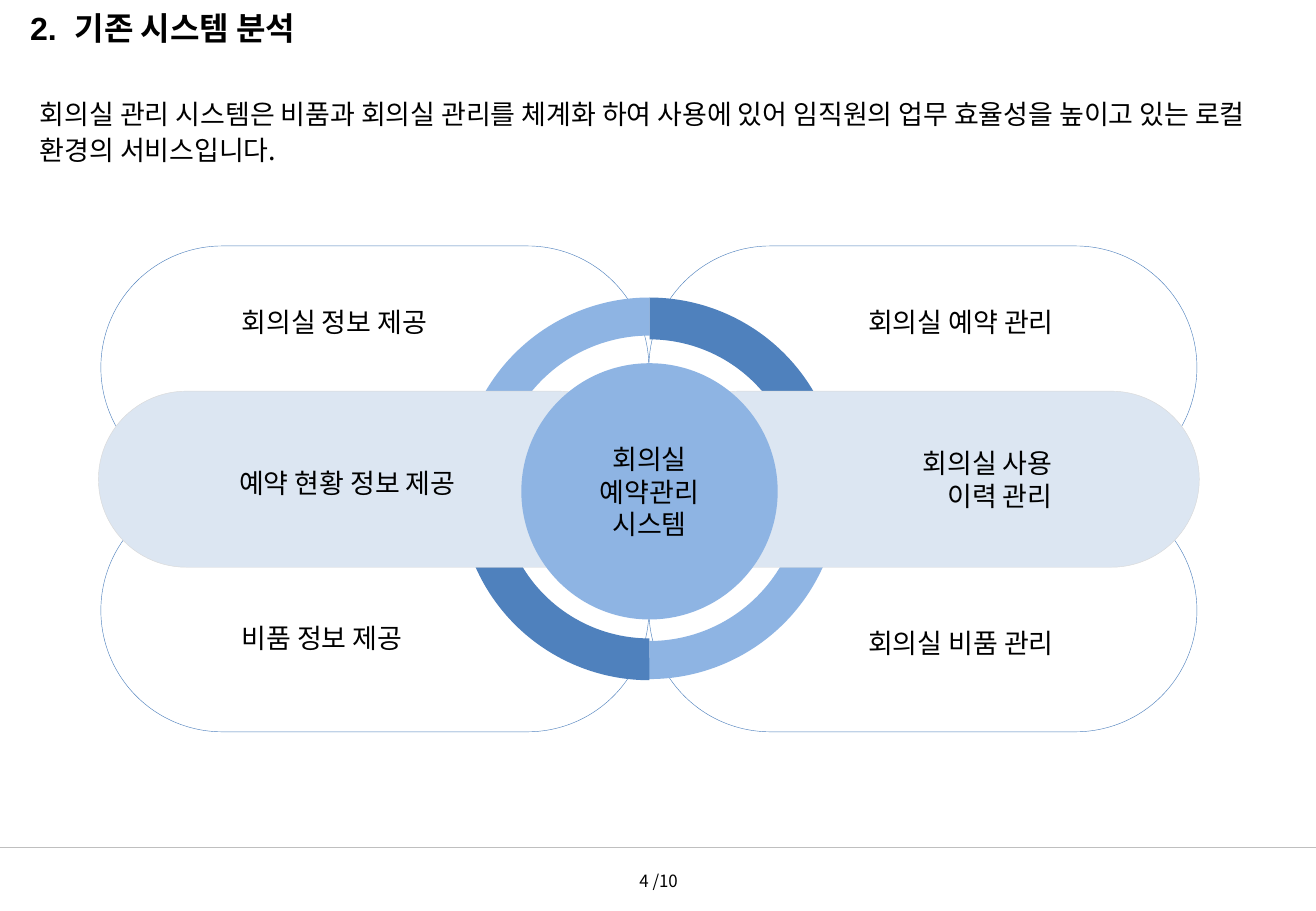
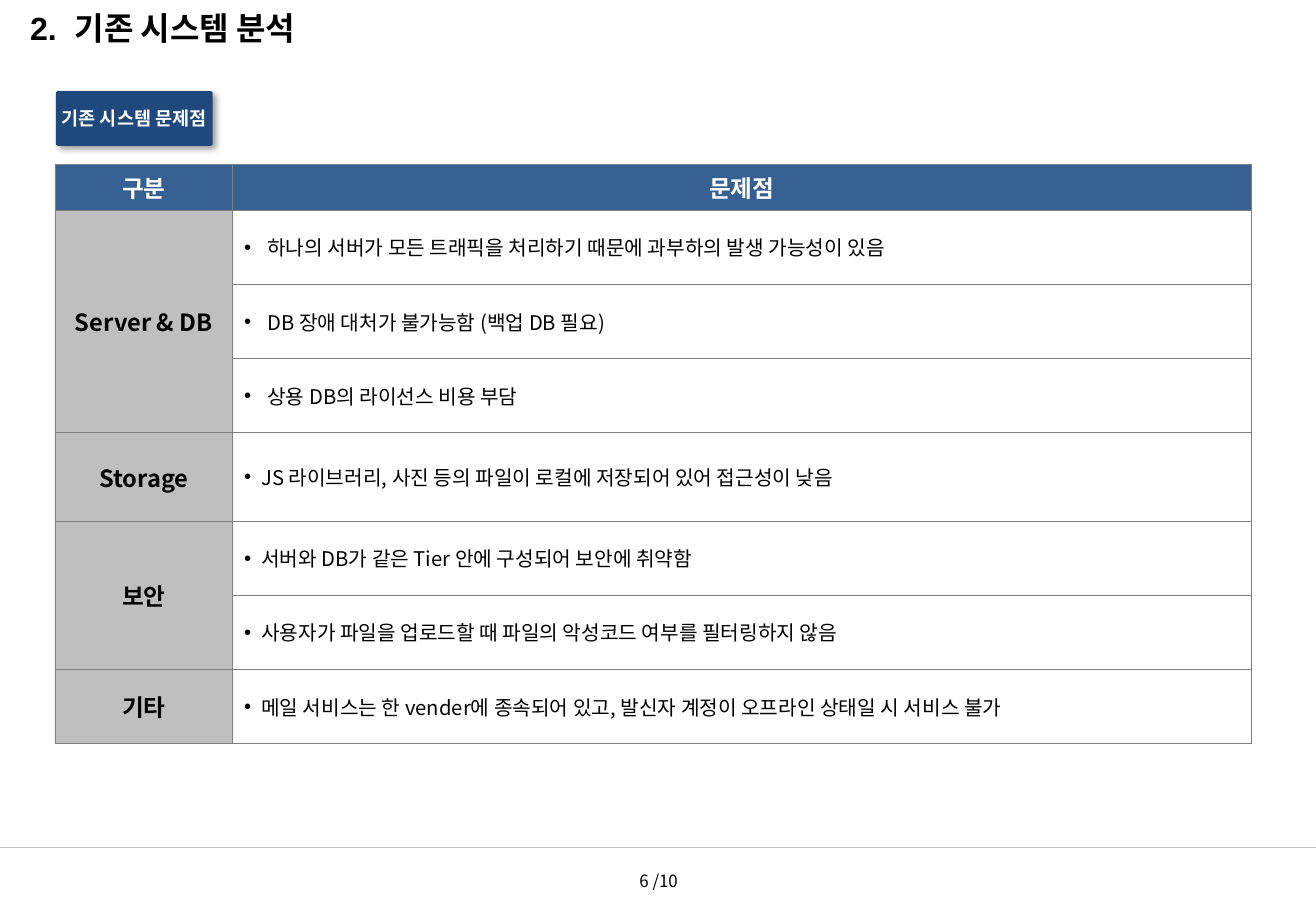
from itertools import product

from lxml import etree
from pptx import Presentation
from pptx import util as u
from pptx.dml.color import RGBColor
from pptx.enum import shapes, text
from pptx.oxml import ns

CELL = 0.1
COLUMNS, ROWS = 108.3, 75
FONT = "Noto Sans CJK KR"
BLACK, WHITE = "000000", "FFFFFF"
BLUE, LIGHT_BLUE, PALE_BLUE = "4F81BD", "8EB4E3", "DCE6F2"
NAVY, HEADER_BLUE = "1F497D", "376092"
SILVER, PALE_GREY, GREY = "BFBFBF", "D9D9D9", "808080"
LEFT, CENTER, RIGHT = text.PP_ALIGN.LEFT, text.PP_ALIGN.CENTER, text.PP_ALIGN.RIGHT
TOP, MIDDLE, BOTTOM = text.MSO_ANCHOR.TOP, text.MSO_ANCHOR.MIDDLE, text.MSO_ANCHOR.BOTTOM
SHAPE = shapes.MSO_SHAPE

PROBLEMS = [
    ("Server & DB", 0.19, [
        (6.1, "하나의 서버가 모든 트래픽을 처리하기 때문에 과부하의 발생 가능성이 있음"),
        (6.1, "DB 장애 대처가 불가능함 (백업 DB 필요)"),
        (6.1, "상용 DB의 라이선스 비용 부담")]),
    ("Storage", 0.14, [
        (7.3, "JS 라이브러리, 사진 등의 파일이 로컬에 저장되어 있어 접근성이 낮음")]),
    ("보안", 0.14, [
        (6.1, "서버와 DB가 같은 Tier 안에 구성되어 보안에 취약함"),
        (6.1, "사용자가 파일을 업로드할 때 파일의 악성코드 여부를 필터링하지 않음")]),
    ("기타", 0.14, [
        (6.1, "메일 서비스는 한 vender에 종속되어 있고, 발신자 계정이 오프라인 상태일 시 서비스 불가")]),
]


def grid(*cells):
    return [u.Inches(count * CELL) for count in cells]


def color(value):
    return RGBColor.from_string(value)


def element(parent, tag, **attributes):
    child = etree.SubElement(parent, ns.qn(tag))
    for name, value in attributes.items():
        child.set(name, str(value))
    return child


def write(frame, content, size=16, font=FONT, ink=BLACK, bold=False, align=LEFT,
          anchor=TOP, wrap=True, before=0, spacing=None, bullet=None):
    frame.word_wrap = wrap
    frame.vertical_anchor = anchor
    for index, line in enumerate(content.split("\n")):
        para = frame.add_paragraph() if index else frame.paragraphs[0]
        para.alignment = align
        para.space_before = u.Pt(before)
        if spacing:
            para.line_spacing = spacing
        span = para.add_run()
        span.text = line
        span.font.size = u.Pt(size)
        span.font.name = font
        span.font.bold = bold
        span.font.color.rgb = color(ink)
        element(span.font._element, "a:ea", typeface=FONT)
        if bullet:
            properties = para._p.get_or_add_pPr()
            indent = u.Inches(bullet)
            properties.set("marL", str(indent))
            properties.set("indent", str(-indent))
            element(properties, "a:buFont", typeface="Arial")
            element(properties, "a:buChar", char="•")


def add_text(page, place, content, **style):
    box = page.shapes.add_textbox(*grid(*place))
    write(box.text_frame, content, **style)


def add_shape(page, kind, place, fill=None, line=None, adjust=(), turn=0):
    shape = page.shapes.add_shape(kind, *grid(*place))
    shape.shadow.inherit = False
    shape.rotation = turn
    for index, value in enumerate(adjust):
        shape.adjustments[index] = value
    if fill:
        shape.fill.solid()
        shape.fill.fore_color.rgb = color(fill)
    else:
        shape.fill.background()
    if line:
        shape.line.color.rgb = color(line)
        shape.line.width = u.Pt(0.25)
    else:
        shape.line.fill.background()
    return shape


def add_drop_shadow(shape):
    effects = shape._element.spPr.find(ns.qn("a:effectLst"))
    shadow = element(effects, "a:outerShdw", blurRad=u.Pt(4), dist=u.Pt(3),
                     dir=45 * 60000, algn="tl", rotWithShape=0)
    tint = element(shadow, "a:srgbClr", val=BLACK)
    element(tint, "a:alpha", val=40000)


def add_page(deck, number):
    page = deck.slides.add_slide(deck.slide_layouts[6])
    rule = page.shapes.add_connector(shapes.MSO_CONNECTOR.STRAIGHT,
                                     *grid(0, 69.8, COLUMNS, 69.8))
    rule.line.color.rgb = color(SILVER)
    rule.line.width = u.Pt(0.75)
    element(rule._element.spPr, "a:effectLst")
    add_text(page, (48.9, 70.4, 10.6, 3.4), f"{number} /10", size=10,
             align=CENTER, anchor=BOTTOM, wrap=False)
    add_text(page, (1.5, 0.2, 103.4, 4.3), "2.  기존 시스템 분석",
             size=19, font="Arial", bold=True)
    return page


def fill_cell(cell, content, fill, **style):
    properties = cell._tc.get_or_add_tcPr()
    for side in "LRTB":
        border = element(properties, f"a:ln{side}", w=u.Pt(0.5))
        element(element(border, "a:solidFill"), "a:srgbClr", val=GREY)
    cell.fill.solid()
    cell.fill.fore_color.rgb = color(fill)
    cell.vertical_anchor = MIDDLE
    if content:
        write(cell.text_frame, content, anchor=None, wrap=None, **style)


def add_problem_table(page, left, top, widths):
    heights = [3.8] + [height for _, _, items in PROBLEMS for height, _ in items]
    table = page.shapes.add_table(
        len(heights), len(widths), *grid(left, top, sum(widths), sum(heights))).table
    for column, width in zip(table.columns, grid(*widths)):
        column.width = width
    for row, height in zip(table.rows, grid(*heights)):
        row.height = height
    heading = dict(size=14, bold=True, align=CENTER)
    for index, label in enumerate(("구분", "문제점")):
        fill_cell(table.cell(0, index), label, HEADER_BLUE, ink=WHITE, **heading)
    row = 1
    for label, indent, items in PROBLEMS:
        first = row
        for _, problem in items:
            fill_cell(table.cell(row, 0), label if row == first else "", SILVER, **heading)
            fill_cell(table.cell(row, 1), problem, WHITE, size=12, bullet=indent)
            row += 1
        if len(items) > 1:
            table.cell(first, 0).merge(table.cell(row - 1, 0))


def add_overview(page):
    width, height = 45.1, 20
    for column, row in product(range(2), repeat=2):
        add_shape(page, SHAPE.ROUNDED_RECTANGLE,
                  (8.3 + column * width, 20.25 + row * height, width, height),
                  line=BLUE, adjust=[0.5])
    arcs = [(180, 24.6, LIGHT_BLUE, 162.05, 0.1), (270, 24.7, BLUE, 152.06, 0.11),
            (0, 24.5, LIGHT_BLUE, 162.05, 0.1), (90, 24.5, BLUE, 144.17, 0.11)]
    for turn, top, fill, end, thickness in arcs:
        add_shape(page, SHAPE.BLOCK_ARC, (37.8, top, 31.3, 31.3), fill=fill,
                  adjust=[108.01, end, thickness], turn=turn)
    for left in (53.6, 8.1):
        add_shape(page, SHAPE.ROUNDED_RECTANGLE, (left, 32.2, width, 14.5),
                  fill=PALE_BLUE, line=PALE_GREY, adjust=[0.5])
    hub = add_shape(page, SHAPE.OVAL, (42.9, 29.9, 21.1, 21.1), fill=LIGHT_BLUE)
    write(hub.text_frame, "회의실\n예약관리\n시스템", align=CENTER, anchor=MIDDLE)
    labels = [((18.9, 24.7, 17.4), "회의실 정보 제공", LEFT),
              ((18.7, 37.9, 20), "예약 현황 정보 제공", LEFT),
              ((18.9, 50.7, 15.3), "비품 정보 제공", LEFT),
              ((70.3, 24.7, 17.4), "회의실 예약 관리", RIGHT),
              ((74.9, 36.3, 12.7), "회의실 사용\n이력 관리", RIGHT),
              ((70.3, 51.1, 17.4), "회의실 비품 관리", RIGHT)]
    for place, label, align in labels:
        add_text(page, (*place, 3.7), label, align=align)


def main():
    deck = Presentation()
    deck.slide_width, deck.slide_height = grid(COLUMNS, ROWS)

    page = add_page(deck, 4)
    add_overview(page)
    add_text(page, (2.3, 7.3, 104.3, 6.9),
             "회의실 관리 시스템은 비품과 회의실 관리를 체계화 하여 사용에 있어 "
             "임직원의 업무 효율성을 높이고 있는 로컬 환경의 서비스입니다.",
             before=4.8, spacing=1.1)

    page = add_page(deck, 6)
    add_problem_table(page, 4.6, 13.5, (14.5, 83.9))
    badge = add_shape(page, SHAPE.ROUNDED_RECTANGLE, (4.6, 7.5, 12.9, 4.5),
                      fill=NAVY, adjust=[0.04])
    add_drop_shadow(badge)
    badge.text_frame.margin_left = badge.text_frame.margin_right = u.Inches(0.01)
    write(badge.text_frame, "기존 시스템 문제점", size=11, ink=WHITE, bold=True,
          align=CENTER, anchor=MIDDLE, before=2.2)

    deck.save("out.pptx")


if __name__ == "__main__":
    main()
